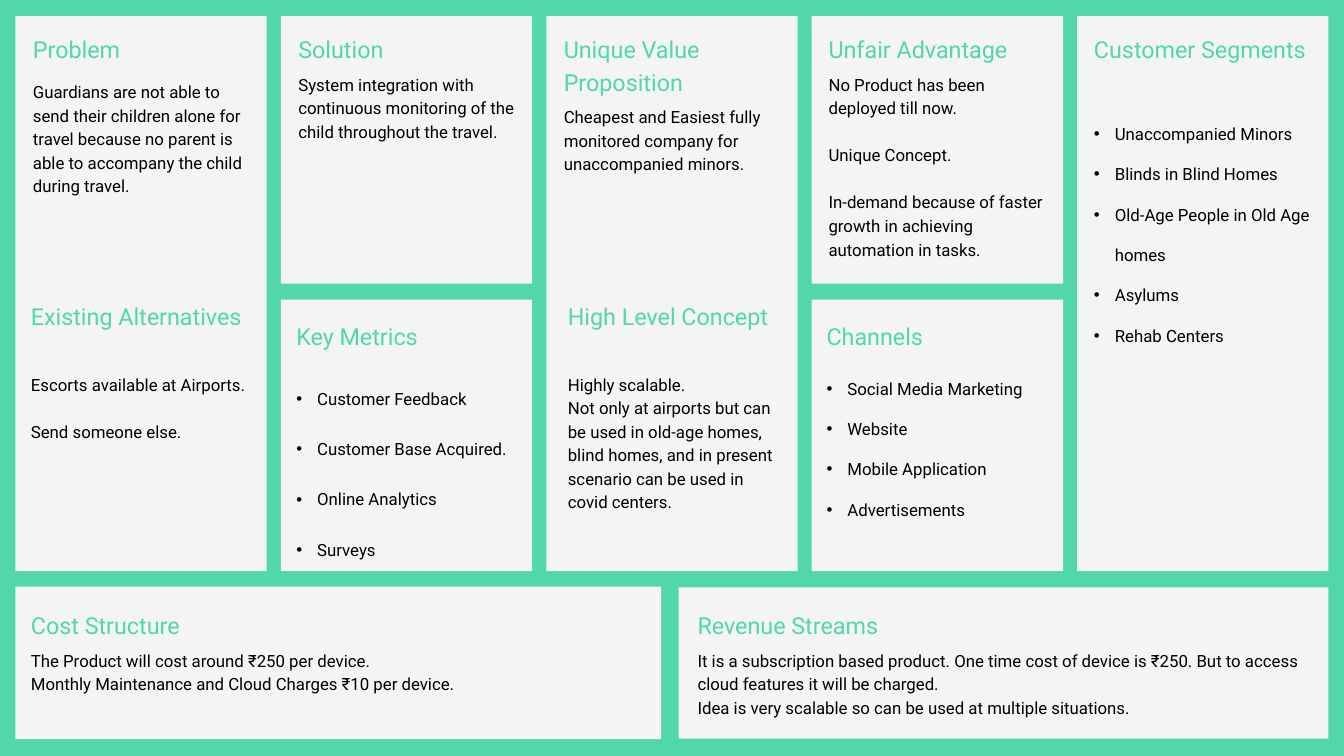
import dataclasses
import typing

import lxml.etree
import pptx
import pptx.dml.color
import pptx.enum.shapes
import pptx.enum.text
import pptx.oxml.ns
import pptx.util

Inches = pptx.util.Inches
Pt = pptx.util.Pt
RGBColor = pptx.dml.color.RGBColor

GREEN = RGBColor(0x51, 0xD7, 0xA8)
PANEL_GRAY = RGBColor(0xF4, 0xF4, 0xF4)
BLACK = RGBColor(0, 0, 0)

COLUMN_LEFTS = [0.23 + 3.95 * column for column in range(5)]
COLUMN_WIDTH = 3.74
TEXT_WIDTH = 3.23
WIDE_TEXT_WIDTH = 9.1
TOP, UPPER_HEIGHT = 0.24, 3.98
LOWER_TOP, LOWER_HEIGHT = 4.46, 4.04
FULL_HEIGHT = 8.26
BULLET_INDENT = 0.31

HEADING_FONT = {"name": "Roboto", "size": Pt(25)}
BODY_FONT = {"name": "Roboto", "size": Pt(18)}
HEADING_SPACING = Pt(35)
BODY_SPACING = Pt(25.2)


@dataclasses.dataclass(frozen=True)
class Panel:
    left: float
    top: float
    width: float
    height: float


@dataclasses.dataclass(frozen=True)
class Section:
    heading: str
    left: float
    top: float
    body_top: float
    body_height: float
    lines: tuple[str, ...]
    width: float = TEXT_WIDTH
    heading_height: float = 0.46
    line_spacing: typing.Any = BODY_SPACING
    gap: float = 0
    bulleted: bool = False


PANELS = [
    *(Panel(COLUMN_LEFTS[column], TOP, COLUMN_WIDTH, FULL_HEIGHT) for column in (0, 2, 4)),
    *(Panel(COLUMN_LEFTS[column], TOP, COLUMN_WIDTH, UPPER_HEIGHT) for column in (1, 3)),
    *(Panel(COLUMN_LEFTS[column], LOWER_TOP, COLUMN_WIDTH, LOWER_HEIGHT) for column in (1, 3)),
    Panel(0.23, 8.73, 9.61, 2.27),
    Panel(10.1, 8.74, 9.67, 2.25),
]

SECTIONS = [
    Section("Problem", 0.49, 0.46, 1.17, 1.73, (
        "Guardians are not able to send their children alone for travel because "
        "no parent is able to accompany the child during travel.",
    )),
    Section("Existing Alternatives", 0.46, 4.43, 5.52, 1.38, (
        "Escorts available at Airports.",
        "Send someone else.",
    ), heading_height=0.93, gap=25.2),
    Section("Solution", 4.44, 0.46, 1.06, 1.38, (
        "System integration with continuous monitoring of the child throughout the travel.",
    )),
    Section("Key Metrics", 4.41, 4.72, 5.33, 2.9, (
        "Customer Feedback",
        "Customer Base Acquired.",
        "Online Analytics",
        "Surveys",
    ), line_spacing=2.5, bulleted=True),
    Section("Unique Value Proposition", 8.39, 0.46, 1.54, 1.02, (
        "Cheapest and Easiest fully monitored company for unaccompanied minors.",
    ), heading_height=0.93),
    Section("High Level Concept", 8.45, 4.43, 5.52, 2.08, (
        "Highly scalable.",
        "Not only at airports but can be used in old-age homes, blind homes, "
        "and in present scenario can be used in covid centers.",
    ), heading_height=0.93),
    Section("Unfair Advantage", 12.33, 0.46, 1.06, 2.78, (
        "No Product has been deployed till now.",
        "Unique Concept.",
        "In-demand because of faster growth in achieving automation in tasks.",
    ), gap=25.2),
    Section("Channels", 12.3, 4.72, 5.33, 2.33, (
        "Social Media Marketing",
        "Website",
        "Mobile Application",
        "Advertisements",
    ), line_spacing=2.0, bulleted=True),
    Section("Customer Segments", 16.28, 0.46, 1.54, 3.54, (
        "Unaccompanied Minors",
        "Blinds in Blind Homes",
        "Old-Age People in Old Age homes",
        "Asylums",
        "Rehab Centers",
    ), heading_height=0.93, line_spacing=2.0, bulleted=True),
    Section("Cost Structure", 0.46, 9.02, 9.63, 0.67, (
        "The Product will cost around ₹250 per device.",
        "Monthly Maintenance and Cloud Charges ₹10 per device.",
    ), width=WIDE_TEXT_WIDTH),
    Section("Revenue Streams", 10.38, 9.02, 9.63, 1.02, (
        "It is a subscription based product. One time cost of device is ₹250. "
        "But to access cloud features it will be charged.",
        "Idea is very scalable so can be used at multiple situations.",
    ), width=WIDE_TEXT_WIDTH),
]


def apply_format(target: typing.Any, values: dict[str, typing.Any]) -> None:
    for name, value in values.items():
        setattr(target, name, value)


def draw_panel(slide: typing.Any, panel: Panel) -> None:
    shape = slide.shapes.add_shape(
        pptx.enum.shapes.MSO_SHAPE.RECTANGLE,
        Inches(panel.left), Inches(panel.top), Inches(panel.width), Inches(panel.height),
    )
    shape.shadow.inherit = False
    shape.fill.solid()
    shape.fill.fore_color.rgb = PANEL_GRAY
    shape.line.fill.background()


def add_bullet(paragraph: typing.Any) -> None:
    properties = paragraph._p.get_or_add_pPr()
    properties.set("marL", str(Inches(BULLET_INDENT)))
    properties.set("indent", str(-Inches(BULLET_INDENT)))
    font = lxml.etree.SubElement(properties, pptx.oxml.ns.qn("a:buFont"))
    font.set("typeface", "Arial")
    bullet = lxml.etree.SubElement(properties, pptx.oxml.ns.qn("a:buChar"))
    bullet.set("char", "•")


def draw_text(
    slide: typing.Any,
    box: Panel,
    lines: tuple[str, ...],
    font: dict[str, typing.Any],
    color: RGBColor,
    line_spacing: typing.Any,
    gap: float = 0,
    bulleted: bool = False,
) -> None:
    shape = slide.shapes.add_textbox(
        Inches(box.left), Inches(box.top), Inches(box.width), Inches(box.height)
    )
    frame = shape.text_frame
    apply_format(frame, {
        "word_wrap": True,
        "auto_size": pptx.enum.text.MSO_AUTO_SIZE.SHAPE_TO_FIT_TEXT,
        "margin_left": 0, "margin_right": 0, "margin_top": 0, "margin_bottom": 0,
    })
    for index, line in enumerate(lines):
        paragraph = frame.paragraphs[0] if index == 0 else frame.add_paragraph()
        if bulleted:
            add_bullet(paragraph)
        paragraph.text = line
        apply_format(paragraph, {
            "line_spacing": line_spacing,
            "space_before": Pt(gap if index else 0),
        })
        apply_format(paragraph.font, font)
        paragraph.font.color.rgb = color


def draw_section(slide: typing.Any, section: Section) -> None:
    heading_box = Panel(section.left, section.top, section.width, section.heading_height)
    body_box = Panel(section.left, section.body_top, section.width, section.body_height)
    draw_text(slide, heading_box, (section.heading,), HEADING_FONT, GREEN, HEADING_SPACING)
    draw_text(slide, body_box, section.lines, BODY_FONT, BLACK,
              section.line_spacing, section.gap, section.bulleted)


def main() -> None:
    presentation = pptx.Presentation()
    apply_format(presentation, {"slide_width": Inches(20), "slide_height": Inches(11.25)})
    slide = presentation.slides.add_slide(presentation.slide_layouts.get_by_name("Blank"))
    slide.background.fill.solid()
    slide.background.fill.fore_color.rgb = GREEN
    for panel in PANELS:
        draw_panel(slide, panel)
    for section in SECTIONS:
        draw_section(slide, section)
    presentation.save("out.pptx")


if __name__ == "__main__":
    main()
